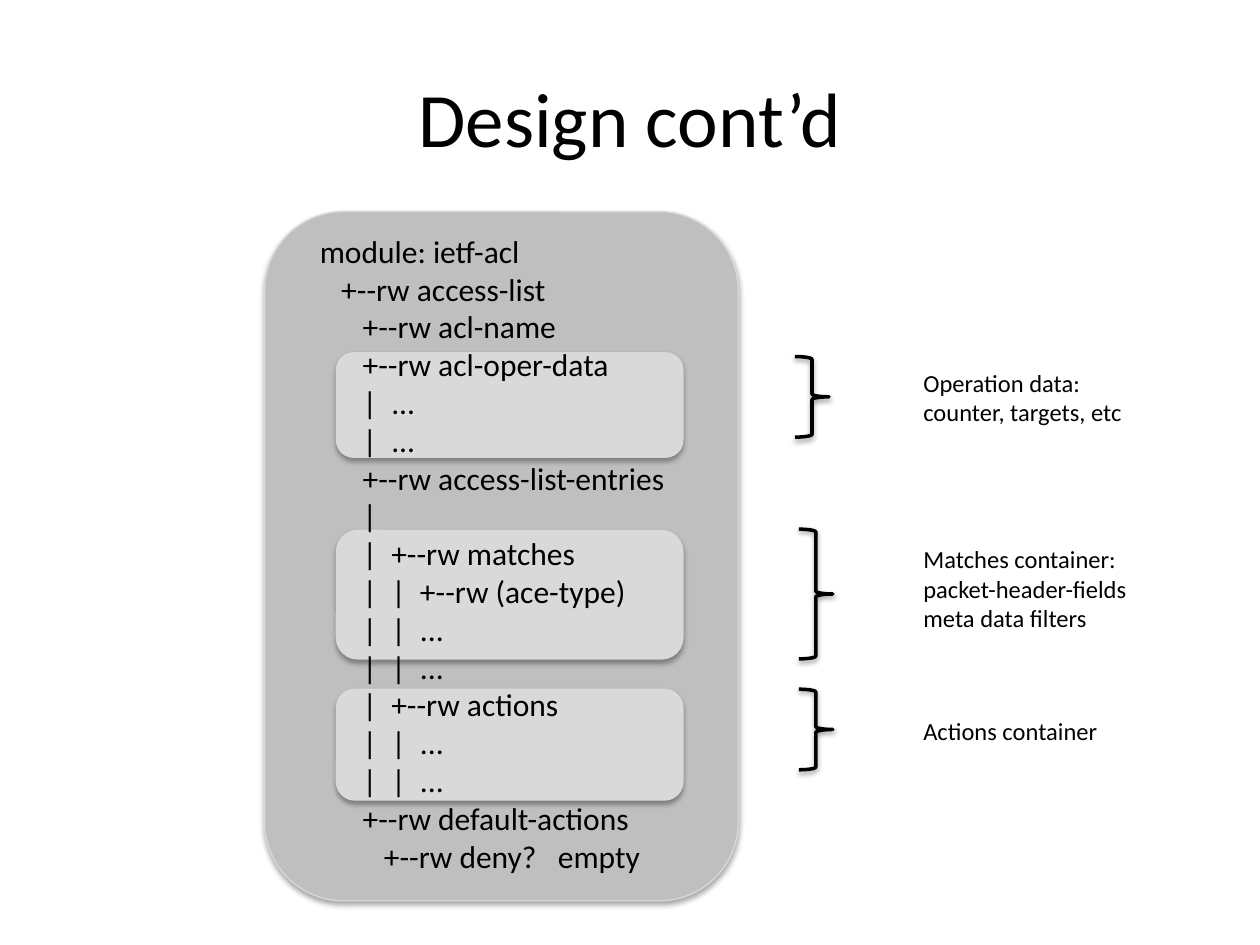
"""Build the access-list module design slide."""
from lxml import etree
from pptx import Presentation
from pptx.dml.color import RGBColor
from pptx.enum.shapes import MSO_SHAPE
from pptx.enum.text import MSO_ANCHOR, MSO_AUTO_SIZE, PP_ALIGN
from pptx.oxml.ns import qn
from pptx.util import Inches, Pt

COLUMNS, ROWS = 100, 75
WIDTH, HEIGHT = Inches(10), Inches(7.5)
FONT = "Calibri"
BLACK = RGBColor(0x00, 0x00, 0x00)
MODULE_GRAY = RGBColor(0xBF, 0xBF, 0xBF)
SECTION_GRAY = RGBColor(0xD9, 0xD9, 0xD9)
INDENT = Pt(12.2)

TREE = [
    (0, "module: ietf-acl"),
    (1, "+--rw access-list"),
    (2, "+--rw acl-name"),
    (2, "+--rw acl-oper-data"),
    (2, "|  ..."),
    (2, "|  ..."),
    (2, "+--rw access-list-entries"),
    (2, "|"),
    (2, "|  +--rw matches"),
    (2, "|  |  +--rw (ace-type)"),
    (2, "|  |  ..."),
    (2, "|  |  ..."),
    (2, "|  +--rw actions"),
    (2, "|  |  ..."),
    (2, "|  |  ..."),
    (2, "+--rw default-actions"),
    (3, "+--rw deny?   empty"),
]

SECTIONS = [(28, 8.3), (42.1, 10.2), (54.7, 8.8)]
BRACES = [(63.1, 28.3, 6.4), (63.4, 42, 10.3), (63.4, 54.7, 6.4)]
NOTES = [
    (28.7, 18.3, 5.7, ["Operation data:", "counter, targets, etc"]),
    (42.7, 18.5, 8.1, ["Matches container:", "packet-header-fields", "meta data filters"]),
    (56.3, 16, 3.4, ["Actions container"]),
]


def grid(left, top, width, height):
    """Convert grid columns and rows to slide lengths."""
    return (int(WIDTH * left / COLUMNS), int(HEIGHT * top / ROWS),
            int(WIDTH * width / COLUMNS), int(HEIGHT * height / ROWS))


def add_shadow(shape, distance, opacity):
    """Give a shape a soft shadow falling straight down."""
    shape.shadow.inherit = False
    effects = shape._element.spPr.find(qn("a:effectLst"))
    shadow = etree.SubElement(effects, qn("a:outerShdw"), blurRad=str(Pt(3.1)),
                              dist=str(Pt(distance)), dir="5400000", rotWithShape="0")
    color = etree.SubElement(shadow, qn("a:srgbClr"), val=str(BLACK))
    etree.SubElement(color, qn("a:alpha"), val=str(opacity * 1000))


def add_panel(slide, box, fill):
    """Add a rounded panel."""
    panel = slide.shapes.add_shape(MSO_SHAPE.ROUNDED_RECTANGLE, *grid(*box))
    panel.fill.solid()
    panel.fill.fore_color.rgb = fill
    panel.line.color.rgb = SECTION_GRAY
    panel.line.width = Pt(0.75)
    add_shadow(panel, 1.8, 35)


def add_brace(slide, left, top, height):
    """Add a right brace spanning a section."""
    brace = slide.shapes.add_shape(MSO_SHAPE.RIGHT_BRACE, *grid(left, top, 2.7, height))
    brace.fill.background()
    brace.line.color.rgb = BLACK
    brace.line.width = Pt(2)
    add_shadow(brace, 1.6, 38)


def add_text(slide, box, lines, size):
    """Add unwrapped text from pairs of indent level and wording."""
    shape = slide.shapes.add_textbox(*grid(*box))
    frame = shape.text_frame
    frame.word_wrap = False
    frame.auto_size = MSO_AUTO_SIZE.SHAPE_TO_FIT_TEXT
    for number, (level, wording) in enumerate(lines):
        paragraph = frame.add_paragraph() if number else frame.paragraphs[0]
        paragraph._p.get_or_add_pPr().set("marL", str(level * INDENT))
        run = paragraph.add_run()
        run.text = wording
        run.font.name = FONT
        run.font.size = Pt(size)
        run.font.color.rgb = BLACK
    return frame


def add_title(slide, wording):
    """Add the centred slide title."""
    frame = add_text(slide, (5, 3, 90, 12.5), [(0, wording)], 44)
    frame.word_wrap = True
    frame.auto_size = MSO_AUTO_SIZE.NONE
    frame.vertical_anchor = MSO_ANCHOR.MIDDLE
    frame.paragraphs[0].alignment = PP_ALIGN.CENTER


def main():
    """Build and save the slide."""
    deck = Presentation()
    deck.slide_width, deck.slide_height = WIDTH, HEIGHT
    slide = deck.slides.add_slide(deck.slide_layouts[6])
    add_panel(slide, (21, 16.8, 37.6, 54.7), MODULE_GRAY)
    add_title(slide, "Design cont’d")
    for top, height in SECTIONS:
        add_panel(slide, (26.7, top, 27.5, height), SECTION_GRAY)
    add_text(slide, (24.4, 17.9, 29.8, 52.5), TREE, 18)
    for top, width, height, lines in NOTES:
        add_text(slide, (72.3, top, width, height), [(0, line) for line in lines], 14)
    for left, top, height in BRACES:
        add_brace(slide, left, top, height)
    deck.save("out.pptx")


main()
